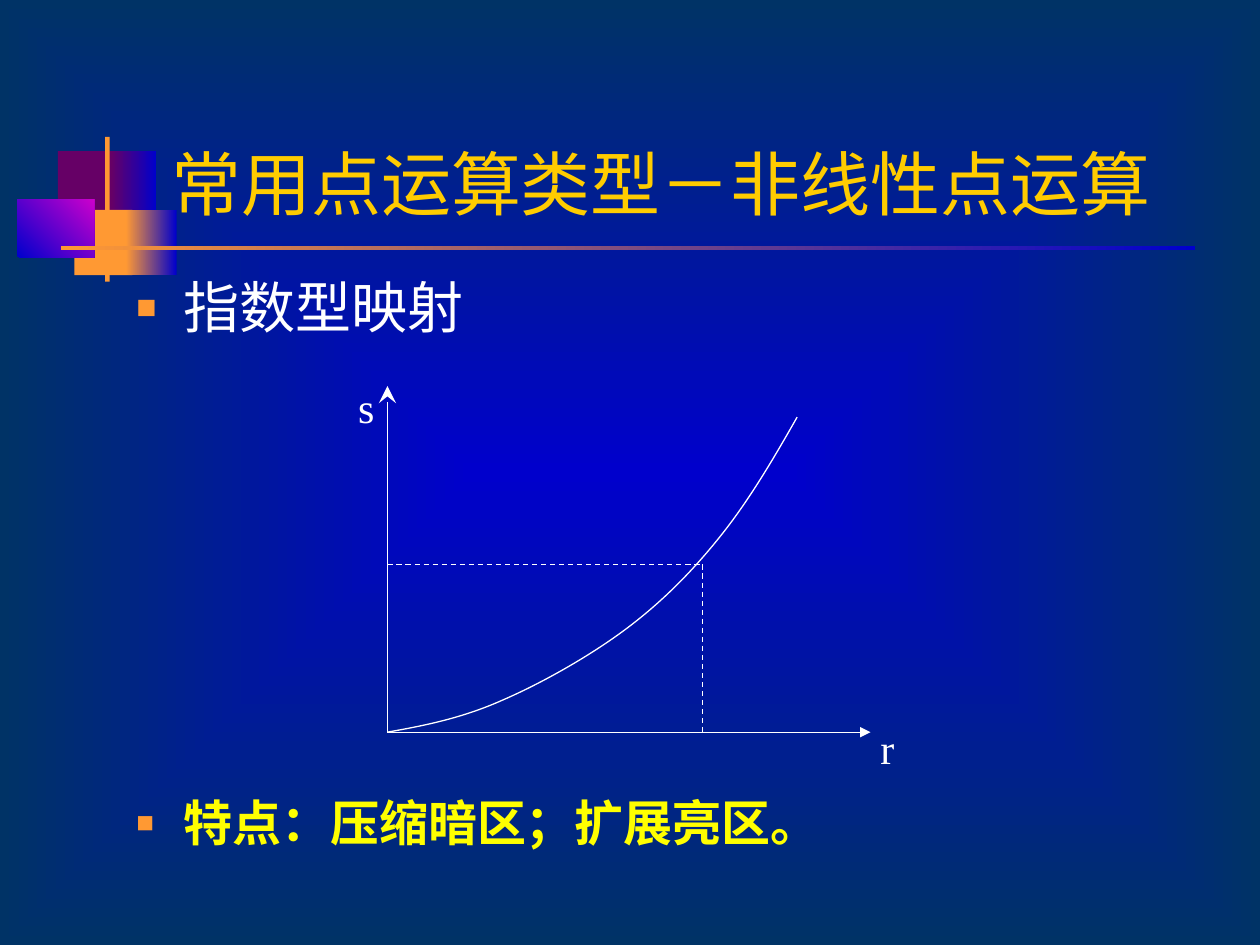
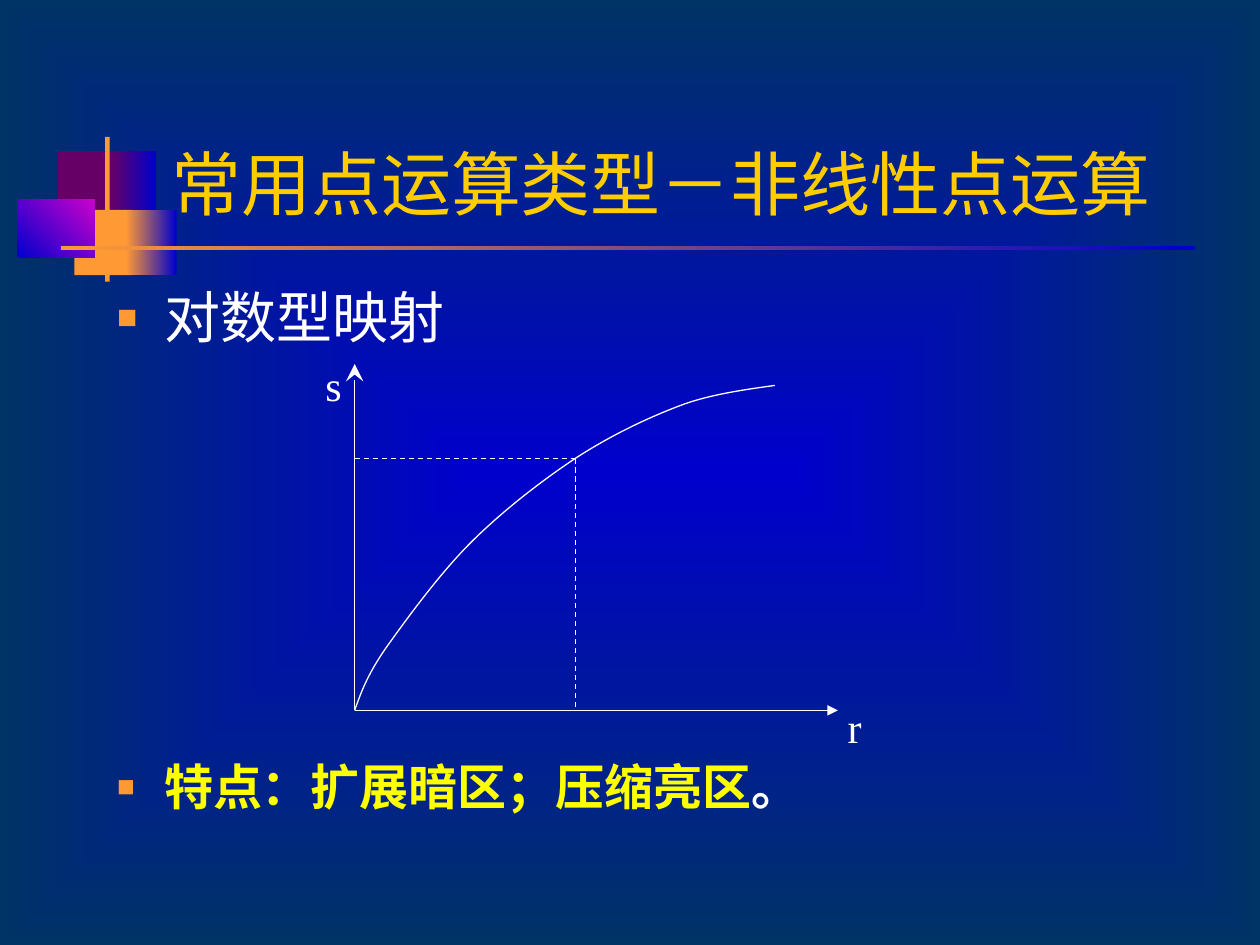
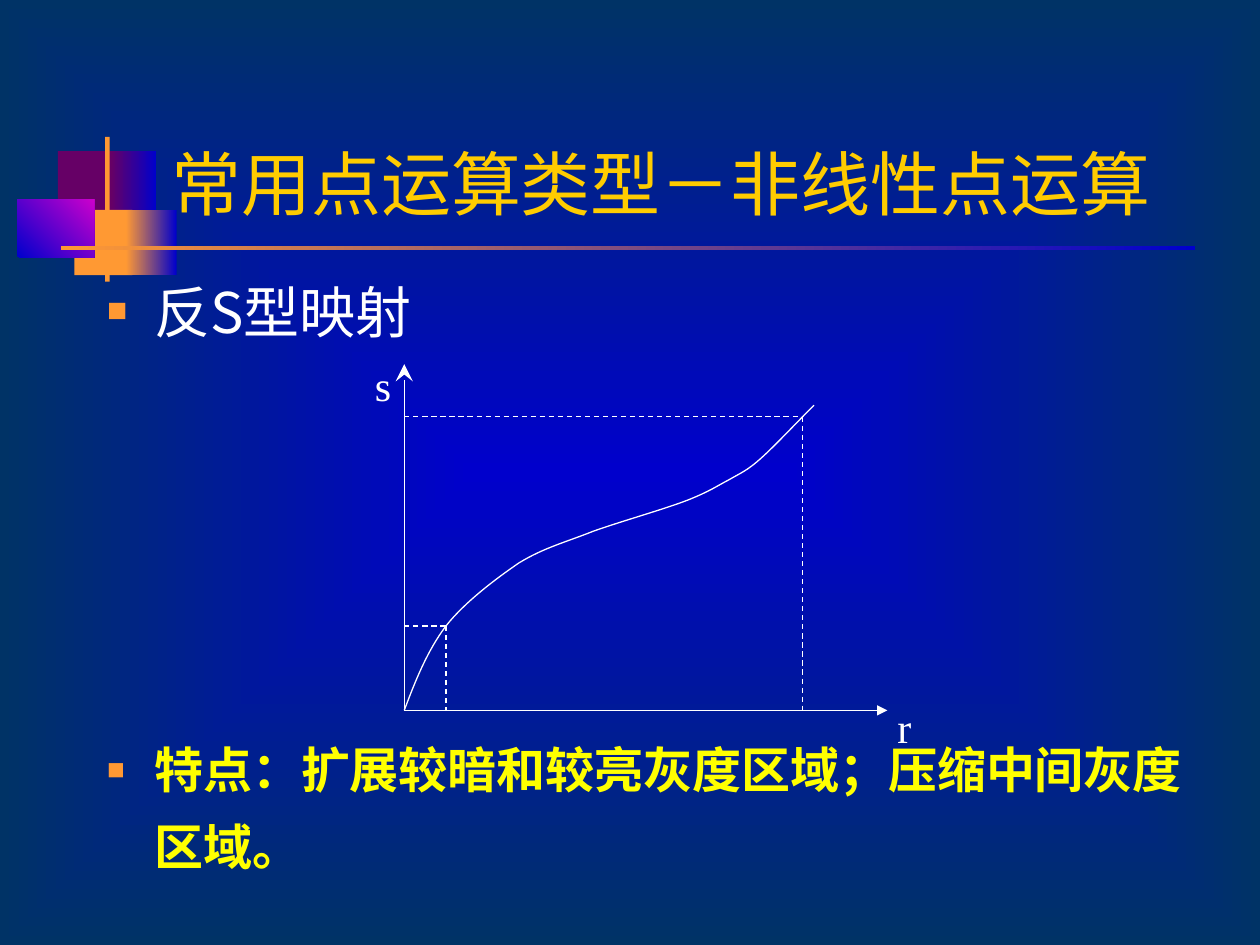
import pptx
import pptx.dml.color
import pptx.enum.dml
import pptx.enum.shapes
import pptx.enum.text
import pptx.oxml
import pptx.oxml.ns
import pptx.util

Cm = pptx.util.Cm
Pt = pptx.util.Pt
RGBColor = pptx.dml.color.RGBColor
qn = pptx.oxml.ns.qn

WHITE = RGBColor(0xFF, 0xFF, 0xFF)
YELLOW = RGBColor(0xFF, 0xFF, 0x00)
GOLD = RGBColor(0xFF, 0xCC, 0x00)
ORANGE = RGBColor(0xFF, 0x99, 0x33)
PURPLE = RGBColor(0x66, 0x00, 0x66)
MAGENTA = RGBColor(0xCC, 0x00, 0xCC)
BLUE = RGBColor(0x00, 0x00, 0xCC)
TEAL = RGBColor(0x00, 0x33, 0x66)

SANS = "Lato"
CHINESE = "Noto Sans CJK SC"
SERIF = "Times New Roman"

TITLE = "常用点运算类型－非线性点运算"
AXIS_WIDTH = 9.74
AXIS_HEIGHT = 6.98

DECORATION = [
    (1.17, 3.05, 1.22, 1.32, [PURPLE], 0),
    (2.24, 3.05, 0.91, 1.32, [PURPLE, BLUE], 0),
    (1.5, 4.23, 1.17, 1.32, [ORANGE], 0),
    (2.54, 4.23, 1.02, 1.32, [ORANGE, BLUE], 0),
    (0.35, 4.02, 1.55, 1.17, [BLUE, MAGENTA], 45),
    (2.12, 2.76, 0.09, 2.92, [ORANGE], 0),
    (1.23, 4.95, 22.86, 0.09, [ORANGE, BLUE], 0),
]

MAPPINGS = [
    dict(
        title_box=(3.2, 2.11, 20.3, 2.54),
        body_box=(2.5, 5.53, 21.41, 12.24),
        heading="指数型映射", heading_font=SANS,
        feature=[("特点：压缩暗区；扩展亮区。", YELLOW)],
        spacing=(0.9, 0.9), gap=262,
        origin=(7.81, 14.76),
        curve=[(0.74, 0.13), (1.5, 0.28), (2.31, 0.64),
               (3.12, 0.99), (4.11, 1.55), (4.85, 2.11),
               (5.59, 2.67), (6.2, 3.3), (6.76, 4.01),
               (7.32, 4.72), (7.8, 5.54), (8.26, 6.35)],
        guides=[(6.35, 3.38)],
    ),
    dict(
        title_box=(3.2, 2.53, 20.5, 2.13),
        body_box=(2.11, 5.72, 21.39, 11.2),
        heading="对数型映射", heading_font=SANS,
        feature=[("特点：扩展暗区；压缩亮区", YELLOW), ("。", WHITE)],
        spacing=(0.9, 0.9), gap=236,
        origin=(7.15, 14.32),
        curve=[(0.13, 0.36), (0.25, 0.71), (0.64, 1.27),
               (1.04, 1.83), (1.7, 2.74), (2.34, 3.38),
               (2.97, 4.01), (3.76, 4.62), (4.45, 5.08),
               (5.16, 5.54), (5.89, 5.89), (6.58, 6.15),
               (7.24, 6.4), (8.15, 6.5), (8.47, 6.55)],
        guides=[(4.45, 5.08)],
    ),
    dict(
        title_box=(3.2, 2.11, 20.7, 2.54),
        body_box=(1.91, 5.73, 22.2, 12.19),
        heading="反S型映射", heading_font=CHINESE,
        feature=[("特点：扩展较暗和较亮灰度区域；压缩中间灰度区域。", YELLOW)],
        spacing=(0.8, 1.3), gap=216,
        origin=(8.15, 14.32),
        curve=[(0.23, 0.61), (0.46, 1.19), (0.84, 1.7),
               (1.22, 2.18), (1.83, 2.64), (2.31, 2.97),
               (2.82, 3.28), (3.23, 3.38), (3.81, 3.61),
               (4.37, 3.81), (5.26, 4.06), (5.72, 4.24),
               (6.17, 4.42), (6.3, 4.52), (6.55, 4.65),
               (6.81, 4.8), (6.91, 4.83), (7.19, 5.08),
               (7.47, 5.33), (7.85, 5.74), (8.26, 6.15)],
        guides=[(0.84, 1.7), (8.03, 5.92)],
    ),
]


def add_child(parent, tag, **attributes):
    child = parent.makeelement(qn(tag), attributes)
    parent.append(child)
    return child


def write_text(paragraph, text, size=24, color=WHITE, font=SANS, bold=False):
    run = paragraph.add_run()
    run.text = text
    run.font.size = Pt(size)
    run.font.name = font
    run.font.bold = bold
    run.font.color.rgb = color
    add_child(run.font._element, "a:ea", typeface=CHINESE)


def fill_gradient(fill, colors, angle=0):
    fill.gradient()
    fill.gradient_angle = angle
    for stop, color in zip(fill.gradient_stops, colors):
        stop.color.rgb = color


class Deck:
    def __init__(self):
        self.presentation = pptx.Presentation()
        self.presentation.slide_width = Cm(25.4)
        self.presentation.slide_height = Cm(19.05)
        self.layout = self.presentation.slide_layouts[5]
        self.slide = None
        self.group = None
        self.paint_background()

    def paint_background(self):
        fill_gradient(self.layout.background.fill, [BLUE, TEAL])
        gradient = self.layout.element.find(".//" + qn("a:gradFill"))
        gradient.remove(gradient.find(qn("a:lin")))
        center = add_child(gradient, "a:path", path="rect")
        add_child(center, "a:fillToRect", l="50000", t="50000", r="50000", b="50000")

    def new_slide(self):
        self.slide = self.presentation.slides.add_slide(self.layout)

    def decorate_layout(self):
        for left, top, width, height, colors, angle in DECORATION:
            shape = self.slide.shapes.add_shape(
                pptx.enum.shapes.MSO_SHAPE.RECTANGLE,
                Cm(left), Cm(top), Cm(width), Cm(height))
            shape.shadow.inherit = False
            shape.line.fill.background()
            if len(colors) == 1:
                shape.fill.solid()
                shape.fill.fore_color.rgb = colors[0]
            else:
                fill_gradient(shape.fill, colors, angle)
            self.layout.shapes.element.append(shape.element)

    def title(self, text, box):
        shape = self.slide.shapes.title
        shape.left, shape.top, shape.width, shape.height = map(Cm, box)
        frame = shape.text_frame
        frame.auto_size = pptx.enum.text.MSO_AUTO_SIZE.NONE
        frame.vertical_anchor = pptx.enum.text.MSO_ANCHOR.BOTTOM
        paragraph = frame.paragraphs[0]
        paragraph.alignment = pptx.enum.text.PP_ALIGN.LEFT
        write_text(paragraph, text, size=40, color=GOLD)

    def bullet(self, paragraph, spacing):
        paragraph.line_spacing = spacing
        properties = paragraph._p.get_or_add_pPr()
        properties.set("marL", str(Cm(0.95)))
        properties.set("indent", str(-Cm(0.95)))
        color = add_child(properties, "a:buClr")
        add_child(color, "a:srgbClr", val=str(ORANGE))
        add_child(properties, "a:buSzPct", val="60000")
        add_child(properties, "a:buFont", typeface=SERIF)
        add_child(properties, "a:buChar", char="■")

    def body(self, mapping):
        frame = self.slide.shapes.add_textbox(*map(Cm, mapping["body_box"])).text_frame
        frame.word_wrap = True
        heading = frame.paragraphs[0]
        feature = frame.add_paragraph()
        feature.space_before = Pt(mapping["gap"])
        for paragraph, spacing in zip((heading, feature), mapping["spacing"]):
            self.bullet(paragraph, spacing)
        write_text(heading, mapping["heading"], size=32, font=mapping["heading_font"])
        for text, color in mapping["feature"]:
            write_text(feature, text, size=28, color=color, bold=True)

    def line(self, start, end, dashed=False):
        connector = self.group.shapes.add_connector(
            pptx.enum.shapes.MSO_CONNECTOR.STRAIGHT, *start, *end)
        connector.line.color.rgb = WHITE
        connector.line.width = Pt(0.75)
        if dashed:
            connector.line.dash_style = pptx.enum.dml.MSO_LINE.DASH
        add_child(connector.element.spPr, "a:effectLst")
        return connector

    def arrow(self, start, end, position, kind, size):
        outline = self.line(start, end).line._get_or_add_ln()
        add_child(outline, f"a:{position}End", type=kind, w=size, len=size)

    def curve(self, start, points):
        builder = self.group.shapes.build_freeform(*start)
        builder.add_line_segments(points, close=False)
        shape = builder.convert_to_shape()
        shape.shadow.inherit = False
        shape.fill.background()
        shape.line.color.rgb = WHITE
        shape.line.width = Pt(0.75)
        outline = shape.element.find(".//" + qn("a:path"))
        segments = outline.findall(qn("a:lnTo"))
        for first in range(0, len(segments), 3):
            bezier = add_child(outline, "a:cubicBezTo")
            for segment in segments[first:first + 3]:
                bezier.append(segment[0])
                outline.remove(segment)

    def label(self, text, position, width):
        shape = self.group.shapes.add_textbox(*position, Cm(width), Cm(1.27))
        shape.text_frame.word_wrap = False
        write_text(shape.text_frame.paragraphs[0], text, font=SERIF)

    def plot(self, origin, curve, guides):
        def place(right, up):
            return Cm(origin[0] + right), Cm(origin[1] - up)

        self.group = self.slide.shapes.add_group_shape()
        zero = place(0, 0)
        self.arrow(place(0, AXIS_HEIGHT), zero, "head", "stealth", "lg")
        self.arrow(zero, place(AXIS_WIDTH, 0), "tail", "triangle", "med")
        self.label("s", place(-0.84, 7.19), 0.84)
        self.label("r", place(9.69, 0.31), 0.79)
        self.curve(zero, [place(*point) for point in curve])
        for right, up in guides:
            self.line(place(0, up), place(right, up), dashed=True)
            self.line(place(right, up), place(right, 0), dashed=True)


def main():
    deck = Deck()
    for number, mapping in enumerate(MAPPINGS):
        deck.new_slide()
        if number == 0:
            deck.decorate_layout()
        deck.title(TITLE, mapping["title_box"])
        deck.body(mapping)
        deck.plot(mapping["origin"], mapping["curve"], mapping["guides"])
    deck.presentation.save("out.pptx")


if __name__ == "__main__":
    main()
